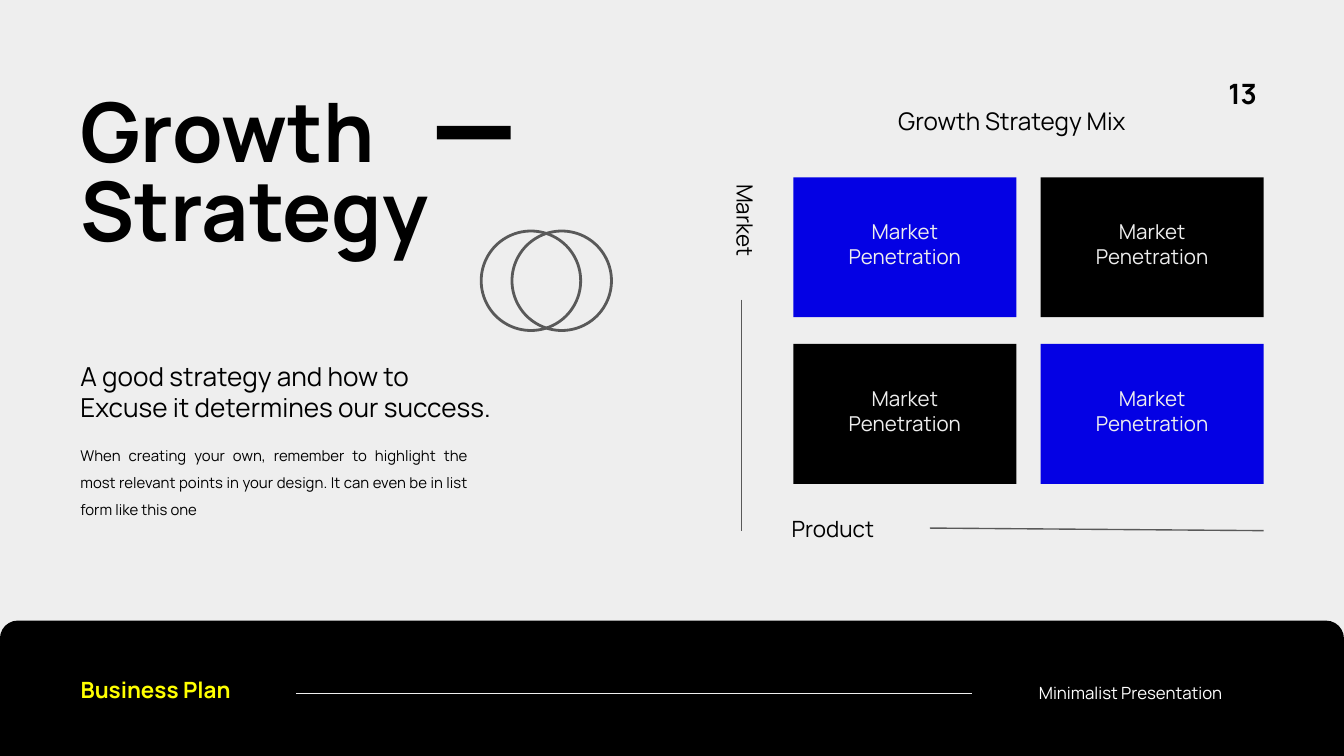
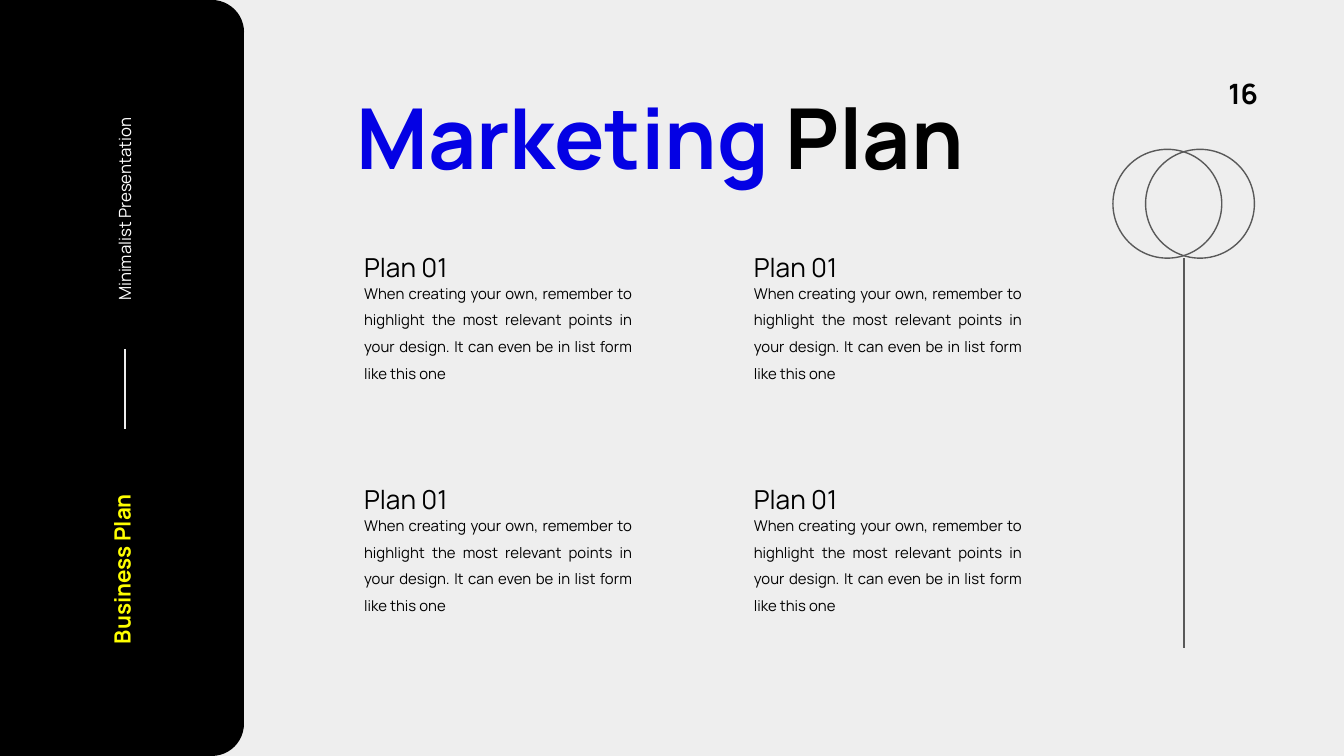
from lxml import etree
from pptx import Presentation
from pptx.dml.color import RGBColor
from pptx.enum import shapes, text
from pptx.oxml import ns
from pptx.util import Pt

FONT = "Manrope"
BLACK, WHITE, PAPER = "000000", "FFFFFF", "EEEEEE"
BLUE, YELLOW, GREY = "0401E4", "FFFF00", "595959"
ALIGN = text.PP_ALIGN
SHAPE = shapes.MSO_SHAPE
BODY = ("When creating your own, remember to highlight the most relevant points "
        "in your design. It can even be in list form like this one")


def color(value):
    """Return the colour of a hex string."""
    return RGBColor.from_string(value)


def frame(box, turn=0):
    """Return the unturned frame, in points, that shows as box once turned."""
    x, y, w, h = box
    if turn % 180:
        x, y, w, h = x + (w - h) / 2, y + (h - w) / 2, h, w
    return [Pt(n) for n in (x, y, w, h)]


def write(holder, content, size, ink=BLACK, bold=False, align=ALIGN.LEFT,
          inset=7.2, leading=None, gap=None):
    """Fill a text frame with one paragraph per line of content."""
    holder.word_wrap = True
    holder.margin_left = holder.margin_right = Pt(inset)
    holder.margin_top = holder.margin_bottom = Pt(inset)
    holder.text = content
    for paragraph in holder.paragraphs:
        paragraph.alignment = align
        paragraph.line_spacing = leading
        if gap:
            paragraph.space_before = paragraph.space_after = Pt(gap)
        font = paragraph.font
        font.name, font.size, font.bold = FONT, Pt(size), bold
        font.color.rgb = color(ink)


def label(slide, box, content, size, turn=0, **style):
    """Add a text box that shows in box and return its text frame."""
    holder = slide.shapes.add_textbox(*frame(box, turn))
    holder.rotation = turn
    write(holder.text_frame, content, size, **style)
    return holder.text_frame


def figure(slide, kind, box, fill=None, outline=None, weight=0.75, turn=0):
    """Add a preset shape, filled or outlined."""
    shape = slide.shapes.add_shape(kind, *frame(box, turn))
    shape.rotation = turn
    shape.shadow.inherit = False
    if fill:
        shape.fill.solid()
        shape.fill.fore_color.rgb = color(fill)
    else:
        shape.fill.background()
    if outline:
        shape.line.color.rgb = color(outline)
        shape.line.width = Pt(weight)
    else:
        shape.line.fill.background()
    return shape


def rule(slide, x1, y1, x2, y2, ink=GREY):
    """Draw a thin straight line."""
    line = slide.shapes.add_connector(
        shapes.MSO_CONNECTOR.STRAIGHT, Pt(x1), Pt(y1), Pt(x2), Pt(y2))
    line.line.color.rgb = color(ink)
    line.line.width = Pt(0.75)
    etree.SubElement(line._element.spPr, ns.qn("a:effectLst"))


def rings(slide, x, y, diameter, shift, weight):
    """Draw two overlapping circles."""
    for left in (x, x + shift):
        figure(slide, SHAPE.OVAL, (left, y, diameter, diameter),
               outline=GREY, weight=weight)


def band(slide, box, plan_box, caption_box, line, band_turn=0, text_turn=0):
    """Add the black brand band, its parts placed relative to box."""
    x, y = box[:2]
    panel = figure(slide, SHAPE.ROUND_2_SAME_RECTANGLE, box, fill=BLACK, turn=band_turn)
    panel.adjustments[0], panel.adjustments[1] = 0.132, 0
    parts = ((plan_box, "Business Plan", 12, YELLOW, True),
             (caption_box, "Minimalist Presentation", 9, WHITE, False))
    for (dx, dy, w, h), words, size, ink, bold in parts:
        label(slide, (x + dx, y + dy, w, h), words, size, text_turn,
              ink=ink, bold=bold, inset=0)
    x1, y1, x2, y2 = line
    rule(slide, x + x1, y + y1, x + x2, y + y2, PAPER)


def title(slide, box, size, *words):
    """Add a large bold title from (words, colour) pairs."""
    holder = label(slide, box, "", size, bold=True, inset=0, leading=0.8)
    for content, ink in words:
        run = holder.paragraphs[0].add_run()
        run.text = content
        run.font.color.rgb = color(ink)


def body(slide, box):
    """Add the justified body paragraph."""
    label(slide, box, BODY, 8, align=ALIGN.JUSTIFY, leading=1.5, gap=12)


def matrix(slide, box):
    """Add the two-by-two growth matrix with its heading and axes."""
    x, y, w, h = box
    tile_w, tile_h = 119.5, 75
    label(slide, (x + 22, y - 45.5, 190, 30), "Growth Strategy Mix", 13,
          align=ALIGN.CENTER)
    for row in range(2):
        for column in range(2):
            tile = figure(slide, SHAPE.RECTANGLE,
                          (x + column * (w - tile_w), y + row * (h - tile_h),
                           tile_w, tile_h),
                          fill=BLUE if row == column else BLACK)
            write(tile.text_frame, "Market\nPenetration", 11, ink=PAPER,
                  align=ALIGN.CENTER)
            tile.text_frame.margin_bottom = Pt(10.8)
            tile.text_frame.vertical_anchor = text.MSO_ANCHOR.MIDDLE
    axis_x, axis_y = x - 27.6, y + h + 25
    label(slide, (x - 8, axis_y - 15.5, 81, 29), "Product", 12)
    rule(slide, x + 73.2, axis_y - 1.4, x + w, axis_y)
    label(slide, (x - 40.2, y - 3.4, 29, 81), "Market", 12, turn=90)
    rule(slide, axis_x, y + 65.5, axis_x, axis_y)


def plans(slide, box):
    """Add the two-by-two grid of plans."""
    x, y, column_step, row_step = box
    for column in range(2):
        for row in range(2):
            left, top = x + column * column_step, y + row * row_step
            label(slide, (left, top, 100, 31.5), "Plan 01", 14)
            body(slide, (left, top + 12.8, 158, 67.5))


def new_slide(deck, number):
    """Add a blank slide with the paper background and its page number."""
    slide = deck.slides.add_slide(deck.slide_layouts[6])
    slide.background.fill.solid()
    slide.background.fill.fore_color.rgb = color(PAPER)
    label(slide, (651, 34, 36, 32), number, 15, bold=True)
    return slide


def growth_strategy(deck):
    """Build the growth strategy slide."""
    slide = new_slide(deck, "13")
    title(slide, (43.2, 53.3, 291, 85.7), 44, ("Growth Strategy", BLACK))
    label(slide, (36, 185.8, 265, 48),
          "A good strategy and how to\nExcuse it determines our success.", 14)
    body(slide, (36, 227.5, 222, 53))
    figure(slide, SHAPE.RECTANGLE, (234, 67.5, 39.6, 7.2), fill=BLACK)
    band(slide, (0, 332.5, 720, 72.5), (43.2, 29.7, 107, 14.4),
         (556.6, 33.3, 144, 10.8), (520.6, 39, 158.4, 39))
    rings(slide, 257.8, 123.8, 53.3, 16.5, 1.5)
    matrix(slide, (425, 95, 252, 164.3))


def marketing_plan(deck):
    """Build the marketing plan slide."""
    slide = new_slide(deck, "16")
    band(slide, (0, 0, 130.7, 405), (58, 238, 14.4, 107), (61.2, 17.2, 10.8, 144),
         (67, 187.2, 67, 229.7), band_turn=90, text_turn=270)
    title(slide, (190.8, 56.2, 389, 44), 45, ("Marketing ", BLUE), ("Plan", BLACK))
    rule(slide, 634.3, 347, 634.3, 138.2)
    rings(slide, 596.2, 80, 58.3, 17.5, 0.75)
    plans(slide, (188, 127.4, 208.8, 124.4))


def main():
    """Build and save the presentation."""
    deck = Presentation()
    deck.slide_width, deck.slide_height = Pt(720), Pt(405)
    growth_strategy(deck)
    marketing_plan(deck)
    deck.save("out.pptx")


if __name__ == "__main__":
    main()
